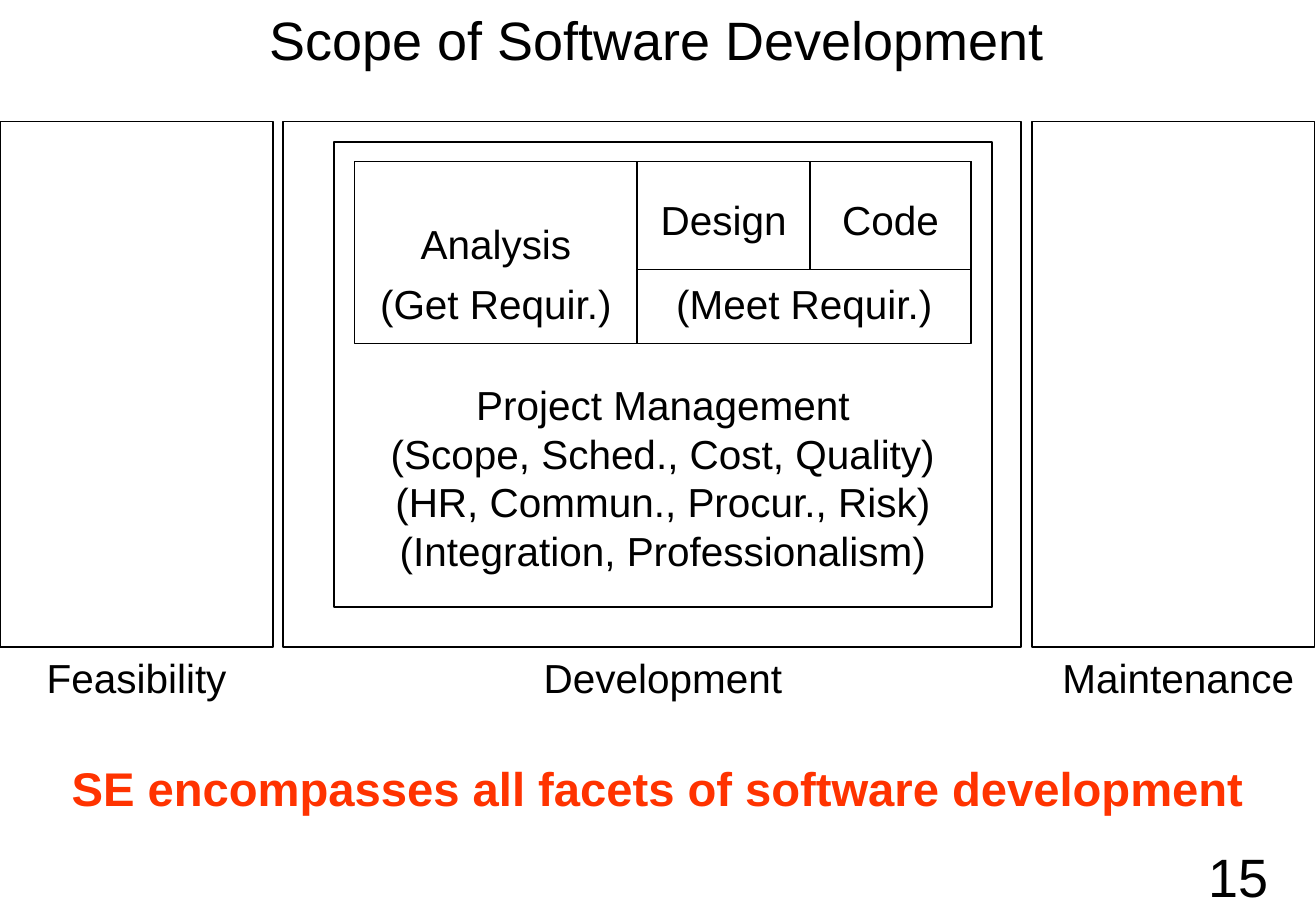
from pptx import Presentation
from pptx.dml.color import RGBColor
from pptx.enum.shapes import MSO_SHAPE
from pptx.enum.text import MSO_ANCHOR, MSO_AUTO_SIZE, PP_ALIGN
from pptx.util import Emu, Pt

EMU_PER_PX = 9144
BLACK = "000000"
ORANGE = "FF3300"
FONT = "Arial"
SLIDE_WIDTH, SLIDE_HEIGHT = 1084, 750
FULL_WIDTH = 1083
PHASE_TOP, PHASE_HEIGHT = 100, 433
LABEL_HEIGHT = 58

PHASES = [
    ("Feasibility", (0, 225), (0, 225)),
    ("Development", (233, 608), (275, 542)),
    ("Maintenance", (850, 233), (858, 225)),
]
ACTIVITY_FRAMES = [
    (275, 117, 542, 383),
    (292, 133, 233, 150),
    (525, 133, 275, 150),
    (525, 133, 142, 89),
    (667, 133, 133, 89),
]
ACTIVITY_LABELS = [
    ("Analysis", 292, 175, 233, 58),
    ("(Get Requir.)", 292, 225, 233, 58),
    ("Design", 525, 156, 142, 78),
    ("Code", 667, 156, 133, 78),
    ("(Meet Requir.)", 525, 225, 275, 58),
]
MANAGEMENT_LINES = [
    "Project Management",
    "(Scope, Sched., Cost, Quality)",
    "(HR, Commun., Procur., Risk)",
    "(Integration, Professionalism)",
]


def px(length):
    return Emu(length * EMU_PER_PX)


def color(hex_string):
    return RGBColor.from_string(hex_string)


def place(shape, left, top, width, height):
    shape.left, shape.top = px(left), px(top)
    shape.width, shape.height = px(width), px(height)


def write_lines(frame, lines, size, hex_string=BLACK, bold=False):
    for index, line in enumerate(lines):
        para = frame.paragraphs[0] if index == 0 else frame.add_paragraph()
        para.alignment = PP_ALIGN.CENTER
        span = para.add_run()
        span.text = line
        span.font.name = FONT
        span.font.size = Pt(size)
        span.font.bold = bold
        span.font.color.rgb = color(hex_string)


def set_title(page, text):
    title = page.shapes.title
    place(title, 0, 0, FULL_WIDTH, 96)
    frame = title.text_frame
    frame.auto_size = MSO_AUTO_SIZE.NONE
    frame.vertical_anchor = MSO_ANCHOR.TOP
    frame.margin_left = frame.margin_right = 0
    write_lines(frame, [text], 32)


def add_frame(page, left, top, width, height):
    box = page.shapes.add_shape(
        MSO_SHAPE.RECTANGLE, px(left), px(top), px(width), px(height))
    box.shadow.inherit = False
    box.fill.background()
    box.line.color.rgb = color(BLACK)
    box.line.width = Pt(1)


def add_text(page, lines, left, top, width, height, size=24, **style):
    box = page.shapes.add_textbox(px(left), px(top), px(width), px(height))
    frame = box.text_frame
    frame.word_wrap = True
    write_lines(frame, lines, size, **style)
    return frame


def add_phase(page, name, frame_span, label_span):
    frame_left, frame_width = frame_span
    label_left, label_width = label_span
    add_frame(page, frame_left, PHASE_TOP, frame_width, PHASE_HEIGHT)
    add_text(page, [name], label_left, PHASE_TOP + PHASE_HEIGHT,
             label_width, LABEL_HEIGHT)


def main():
    deck = Presentation()
    deck.slide_width, deck.slide_height = px(SLIDE_WIDTH), px(SLIDE_HEIGHT)
    page = deck.slides.add_slide(deck.slide_layouts.get_by_name("Title Only"))
    set_title(page, "Scope of Software Development")

    for phase in PHASES:
        add_phase(page, *phase)
    for bounds in ACTIVITY_FRAMES:
        add_frame(page, *bounds)
    for text, *bounds in ACTIVITY_LABELS:
        add_text(page, [text], *bounds)
    add_text(page, MANAGEMENT_LINES, 275, 308, 542, 159)

    message = add_text(page, ["SE encompasses all facets of software development"],
                       0, 625, FULL_WIDTH, 54, 28, hex_string=ORANGE, bold=True)
    message.margin_left = message.margin_right = 0
    message.margin_top = message.margin_bottom = 0

    number = add_text(page, ["15"], 958, 692, 125, 58, 32)
    number.vertical_anchor = MSO_ANCHOR.MIDDLE
    number.word_wrap = False

    deck.save("out.pptx")


if __name__ == "__main__":
    main()
